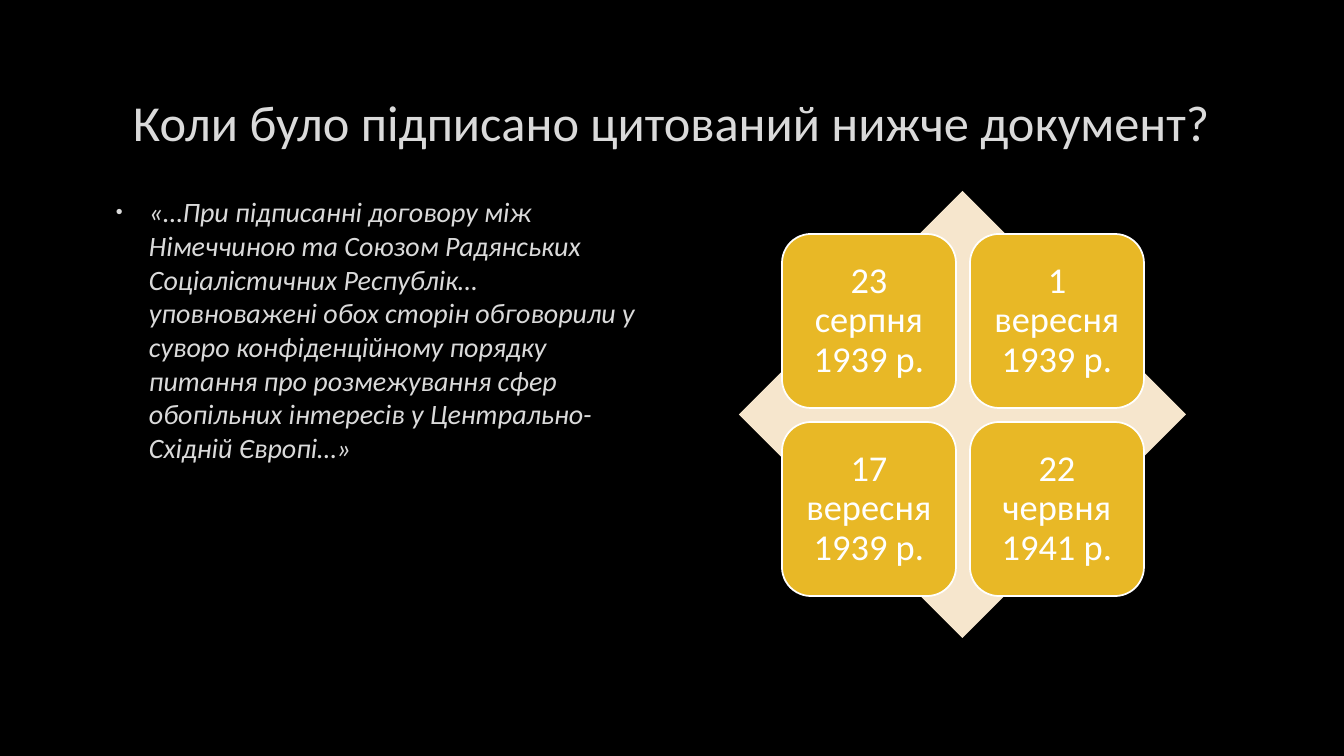
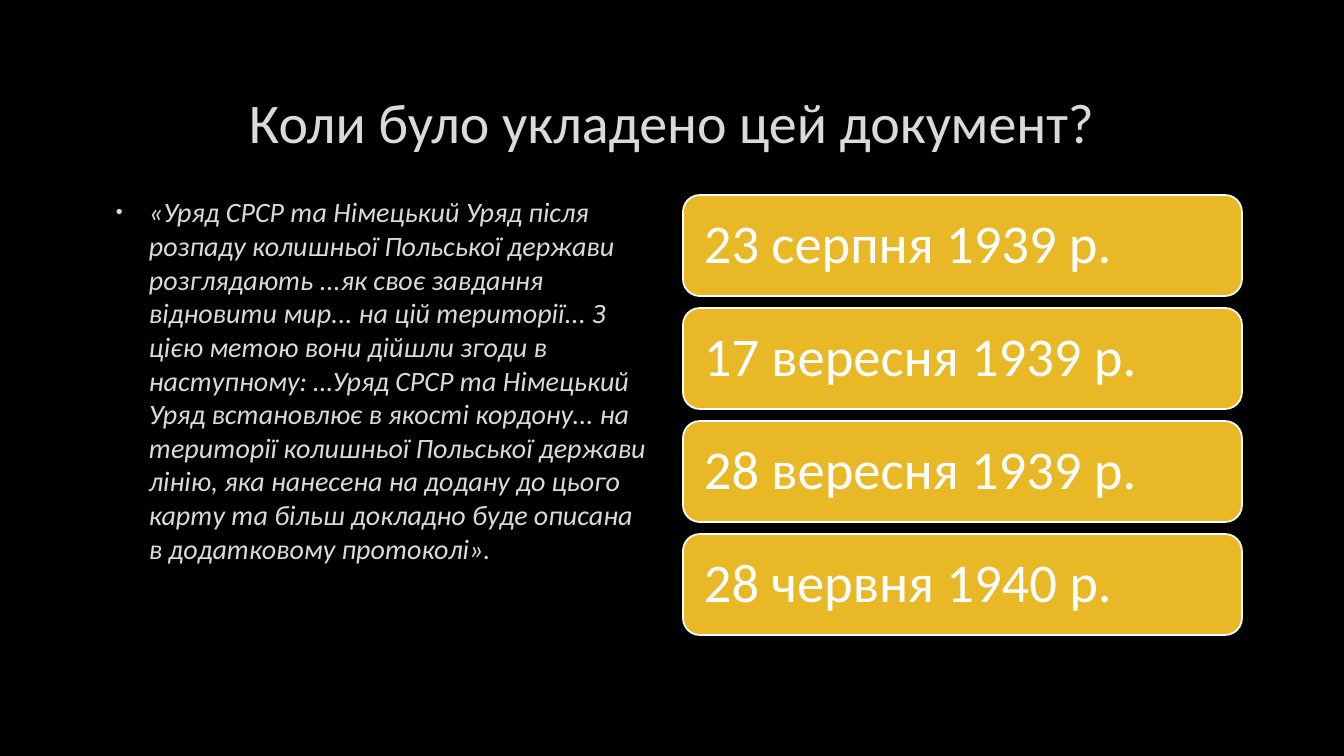
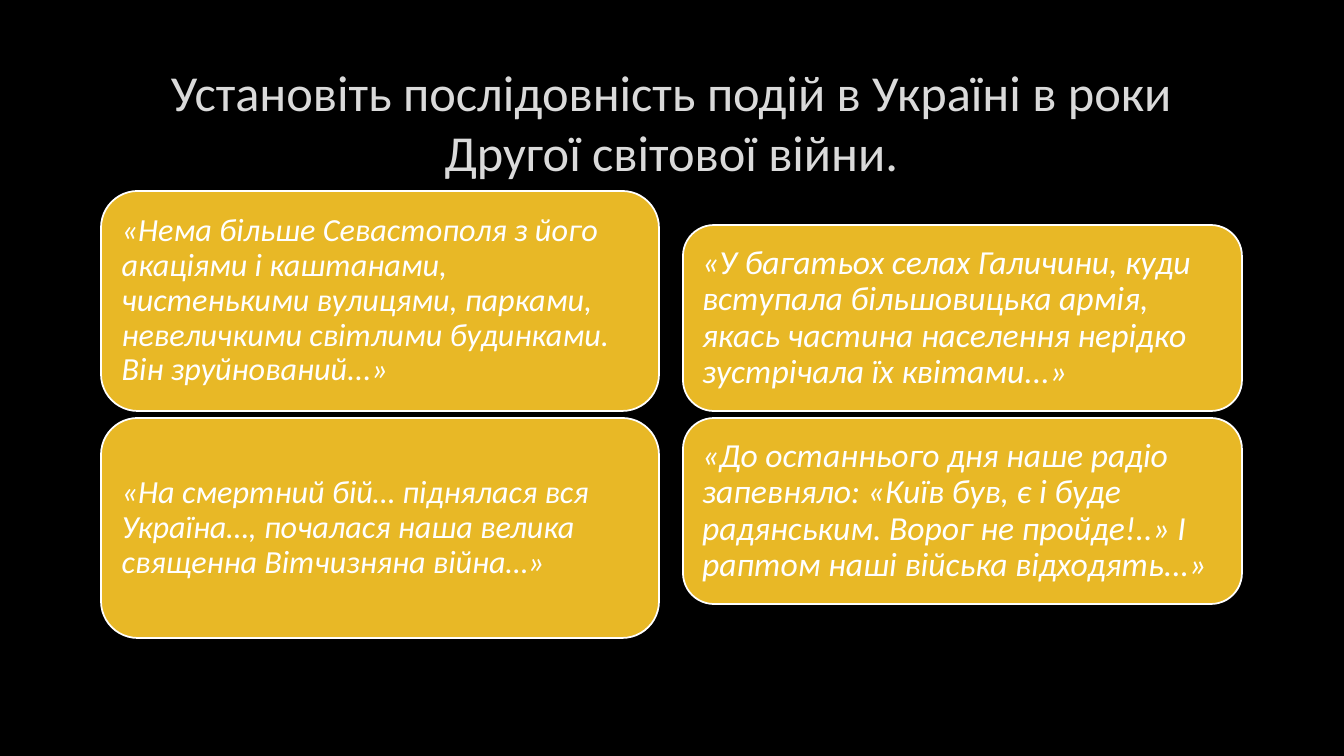
from dataclasses import dataclass

from lxml.etree import SubElement
from pptx import Presentation
from pptx.dml.color import RGBColor
from pptx.enum.shapes import MSO_SHAPE
from pptx.enum.text import MSO_ANCHOR, PP_ALIGN
from pptx.oxml.ns import qn
from pptx.util import Emu, Pt

SCALE = 914400 / 100.8


def px(n: int) -> Emu:
    return Emu(round(n * SCALE))


@dataclass(frozen=True)
class Theme:
    font: str = "Calibri"
    back: RGBColor = RGBColor(0x00, 0x00, 0x00)
    text: RGBColor = RGBColor(0xDA, 0xDA, 0xDA)
    card: RGBColor = RGBColor(0xE8, 0xB8, 0x26)
    edge: RGBColor = RGBColor(0xFF, 0xFF, 0xFF)
    gem: RGBColor = RGBColor(0xF6, 0xE6, 0xCD)
    head: int = 36
    big: int = 40
    body: int = 20
    tile: int = 26
    bar: int = 39
    left: int = 23
    right: int = 24
    rule: float = 1.25


@dataclass(frozen=True)
class Box:
    x: int
    y: int
    w: int
    h: int


@dataclass(frozen=True)
class Grid:
    """Equal cards, filled row by row from the first box."""
    first: Box
    gap: int
    pad: int
    size: int
    texts: tuple[str, ...]
    cols: int = 1
    align: PP_ALIGN = PP_ALIGN.LEFT
    italic: bool = False


THEME = Theme()
TITLE = Box(101, 68, 1141, 107)
QUOTE = Box(101, 190, 558, 448)
GEM = Box(739, 191, 447, 447)


def place(box: Box) -> tuple[Emu, ...]:
    return px(box.x), px(box.y), px(box.w), px(box.h)


def style(para, size: int, color: RGBColor, italic: bool = False) -> None:
    font = para.font
    font.name, font.size, font.italic = THEME.font, Pt(size), italic
    font.color.rgb = color


def add_page(deck, title: str, size: int = THEME.head):
    page = deck.slides.add_slide(deck.slide_layouts[6])
    page.background.fill.solid()
    page.background.fill.fore_color.rgb = THEME.back
    frame = page.shapes.add_textbox(*place(TITLE)).text_frame
    frame.word_wrap = True
    frame.vertical_anchor = MSO_ANCHOR.MIDDLE
    para = frame.paragraphs[0]
    para.text = title
    para.alignment = PP_ALIGN.CENTER
    style(para, size, THEME.text)
    return page


def add_quote(page, text: str) -> None:
    frame = page.shapes.add_textbox(*place(QUOTE)).text_frame
    frame.word_wrap = True
    para = frame.paragraphs[0]
    para.text = text
    # Small bullet with a hanging indent
    props = para._p.get_or_add_pPr()
    props.set("marL", str(px(38)))
    props.set("indent", str(-px(33)))
    tint = SubElement(props, qn("a:buClr"))
    SubElement(tint, qn("a:srgbClr"), val=str(THEME.text))
    SubElement(props, qn("a:buSzPct"), val="70000")
    SubElement(props, qn("a:buFont"), typeface="Arial")
    SubElement(props, qn("a:buChar"), char="•")
    style(para, THEME.body, THEME.text, italic=True)


def add_solid(page, kind: MSO_SHAPE, box: Box, fill: RGBColor):
    shape = page.shapes.add_shape(kind, *place(box))
    shape.shadow.inherit = False
    shape.fill.solid()
    shape.fill.fore_color.rgb = fill
    shape.line.fill.background()
    return shape


def add_grid(page, grid: Grid) -> None:
    one = grid.first
    for i, text in enumerate(grid.texts):
        row, col = divmod(i, grid.cols)
        box = Box(one.x + col * (one.w + grid.gap),
                  one.y + row * (one.h + grid.gap), one.w, one.h)
        card = add_solid(page, MSO_SHAPE.ROUNDED_RECTANGLE, box, THEME.card)
        card.line.color.rgb = THEME.edge
        card.line.width = Pt(THEME.rule)
        frame = card.text_frame
        frame.word_wrap = True
        frame.vertical_anchor = MSO_ANCHOR.MIDDLE
        frame.margin_left = frame.margin_right = px(grid.pad)
        frame.margin_top = frame.margin_bottom = px(grid.pad)
        para = frame.paragraphs[0]
        para.text = text
        para.alignment = grid.align
        para.line_spacing = 0.9
        style(para, grid.size, THEME.edge, grid.italic)


def main() -> None:
    deck = Presentation()
    deck.slide_width, deck.slide_height = px(1344), px(756)

    # Secret protocol: four dates on a diamond
    page = add_page(deck, "Коли було підписано цитований нижче документ?")
    add_quote(page, "«…При підписанні договору між Німеччиною та Союзом "
              "Радянських Соціалістичних Республік… уповноважені обох сторін "
              "обговорили у суворо конфіденційному порядку питання про "
              "розмежування сфер обопільних інтересів у "
              "Центрально-Східній Європі…»")
    add_solid(page, MSO_SHAPE.DIAMOND, GEM, THEME.gem)
    add_grid(page, Grid(
        Box(782, 234, 174, 174), 14, 11, THEME.tile,
        ("23 серпня 1939 р.", "1 вересня 1939 р.",
         "17 вересня 1939 р.", "22 червня 1941 р."),
        cols=2, align=PP_ALIGN.CENTER))

    # Border treaty: four dates in a list
    page = add_page(deck, "Коли було укладено цей документ?", THEME.big)
    add_quote(page, "«Уряд СРСР та Німецький Уряд після розпаду колишньої "
              "Польської держави розглядають ...як своє завдання відновити "
              "мир... на цій території... З цією метою вони дійшли згоди в "
              "наступному: …Уряд СРСР та Німецький Уряд встановлює в якості "
              "кордону... на території колишньої Польської держави лінію, "
              "яка нанесена на додану до цього карту та більш докладно буде "
              "описана в додатковому протоколі».")
    add_grid(page, Grid(
        Box(683, 195, 559, 101), 12, 16, THEME.bar,
        ("23 серпня 1939 р.", "17 вересня 1939 р.",
         "28 вересня 1939 р.", "28 червня 1940 р.")))

    # Order of events: two columns of quotes
    page = add_page(deck, "Установіть послідовність подій в Україні в роки "
                    "Другої світової війни.")
    add_grid(page, Grid(
        Box(101, 191, 558, 220), 7, 10, THEME.left,
        ("«Нема більше Севастополя з його акаціями і каштанами, чистенькими "
         "вулицями, парками, невеличкими світлими будинками. "
         "Він зруйнований...»",
         "«На смертний бій… піднялася вся Україна…, почалася наша велика "
         "священна Вітчизняна війна…»"),
        italic=True))
    add_grid(page, Grid(
        Box(683, 225, 559, 186), 7, 10, THEME.right,
        ("«У багатьох селах Галичини, куди вступала більшовицька армія, "
         "якась частина населення нерідко зустрічала їх квітами...»",
         "«До останнього дня наше радіо запевняло: «Київ був, є і буде "
         "радянським. Ворог не пройде!..» І раптом наші війська "
         "відходять...»"),
        italic=True))

    deck.save("out.pptx")


if __name__ == "__main__":
    main()
